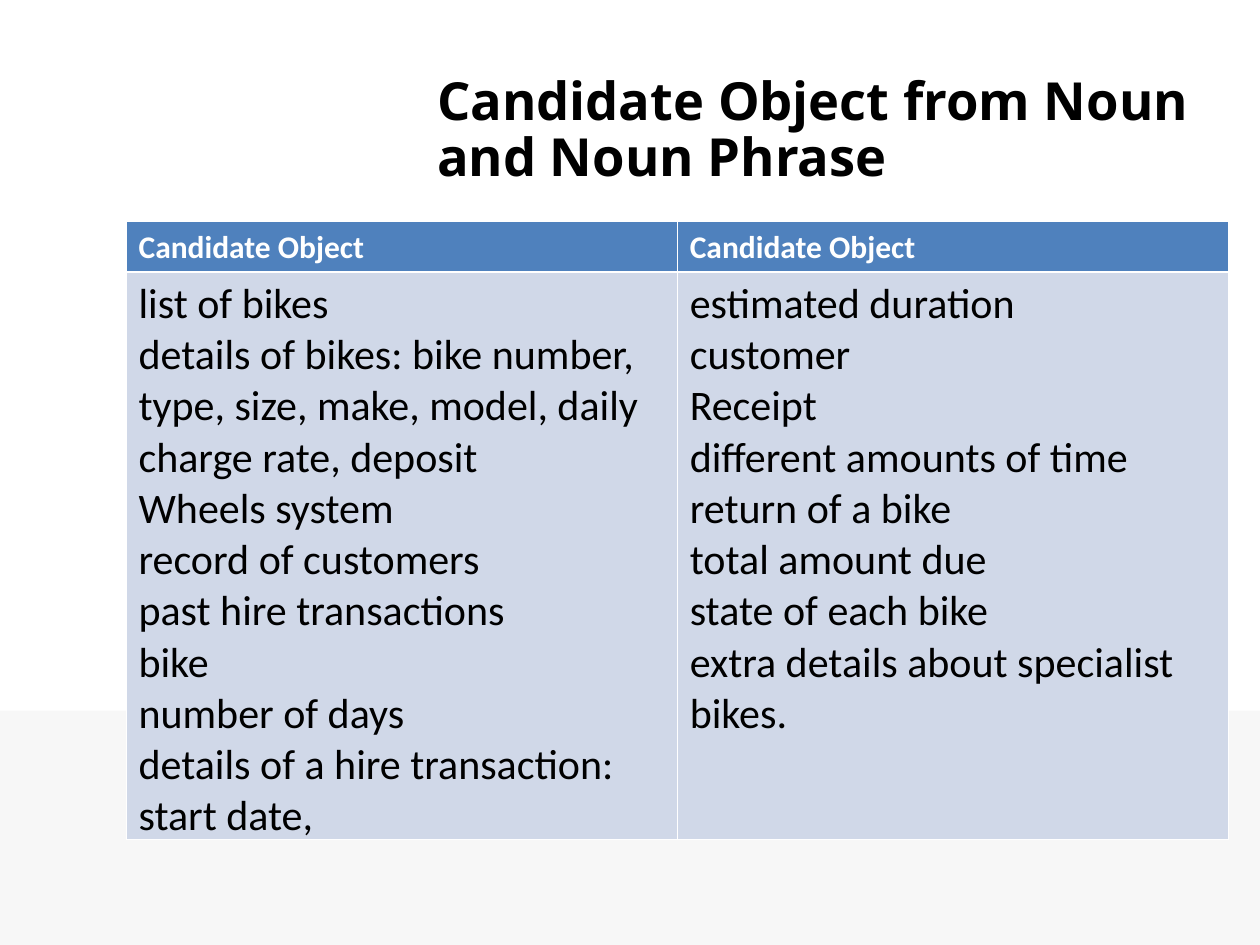
from lxml.etree import SubElement
from pptx import Presentation
from pptx.dml.color import RGBColor
from pptx.enum.shapes import MSO_SHAPE
from pptx.enum.text import MSO_ANCHOR
from pptx.oxml.ns import qn
from pptx.util import Inches, Pt

BLACK = RGBColor(0x00, 0x00, 0x00)
WHITE = RGBColor(0xFF, 0xFF, 0xFF)
BAND_GREY = RGBColor(0xF7, 0xF7, 0xF7)
HEADER_BLUE = RGBColor(0x4F, 0x81, 0xBD)
BODY_BLUE = RGBColor(0xD0, 0xD8, 0xE8)
THIN, THICK = 0.45, 1.47

HEADING = "Candidate Object"
CANDIDATES = [
    [
        "list of bikes",
        "details of bikes: bike number, type, size, make, model, daily charge rate, deposit",
        "Wheels system",
        "record of customers",
        "past hire transactions",
        "bike",
        "number of days",
        "details of a hire transaction: start date,",
    ],
    [
        "estimated duration",
        "customer",
        "Receipt",
        "different amounts of time",
        "return of a bike",
        "total amount due",
        "state of each bike",
        "extra details about specialist bikes.",
    ],
]


def write(frame, lines, size, color=BLACK, font="Calibri", bold=False, spacing=None):
    for index, line in enumerate(lines):
        paragraph = frame.add_paragraph() if index else frame.paragraphs[0]
        paragraph.line_spacing = spacing
        run = paragraph.add_run()
        run.text = line
        run.font.name = font
        run.font.size = Pt(size)
        run.font.bold = bold
        run.font.color.rgb = color


def style_cell(cell, fill, top, bottom):
    properties = cell._tc.get_or_add_tcPr()
    for side, width in (("L", THIN), ("R", THIN), ("T", top), ("B", bottom)):
        border = SubElement(properties, qn(f"a:ln{side}"), w=str(Pt(width)))
        SubElement(SubElement(border, qn("a:solidFill")), qn("a:srgbClr"), val=str(WHITE))
    cell.fill.solid()
    cell.fill.fore_color.rgb = fill


presentation = Presentation()
presentation.slide_width = Inches(10)
presentation.slide_height = Inches(7.5)
slide = presentation.slides.add_slide(presentation.slide_layouts[6])
slide.background.fill.solid()
slide.background.fill.fore_color.rgb = WHITE

footer_band = slide.shapes.add_shape(
    MSO_SHAPE.RECTANGLE, Inches(0), Inches(5.64), Inches(10), Inches(1.86))
footer_band.shadow.inherit = False
footer_band.fill.solid()
footer_band.fill.fore_color.rgb = BAND_GREY
footer_band.line.fill.background()

title = slide.shapes.add_textbox(Inches(3.37), Inches(0.42), Inches(6.48), Inches(1.25)).text_frame
title.word_wrap = True
title.vertical_anchor = MSO_ANCHOR.MIDDLE
write(title, ["Candidate Object from Noun and Noun Phrase"], 30,
      font="Open Sans", bold=True, spacing=0.88)

candidate_table = slide.shapes.add_table(
    2, 2, Inches(1), Inches(1.76), Inches(8.75), Inches(4.9)).table
candidate_table.rows[0].height = Inches(0.4)
candidate_table.rows[1].height = Inches(4.5)

for column, candidates in enumerate(CANDIDATES):
    header = candidate_table.cell(0, column)
    style_cell(header, HEADER_BLUE, THIN, THICK)
    write(header.text_frame, [HEADING], 18, color=WHITE, bold=True)

    body = candidate_table.cell(1, column)
    style_cell(body, BODY_BLUE, THICK, THIN)
    write(body.text_frame, candidates, 24)

presentation.save("out.pptx")
